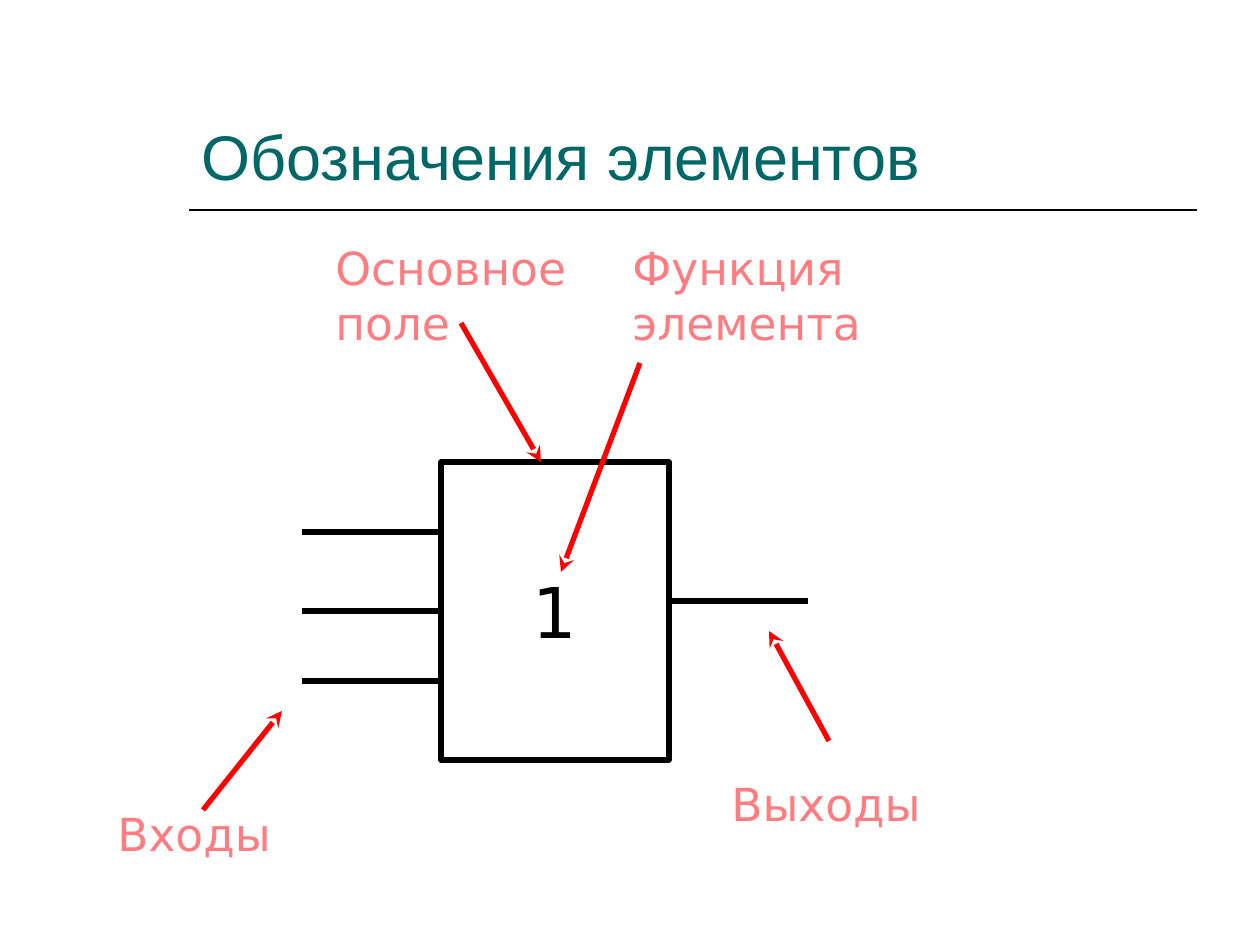
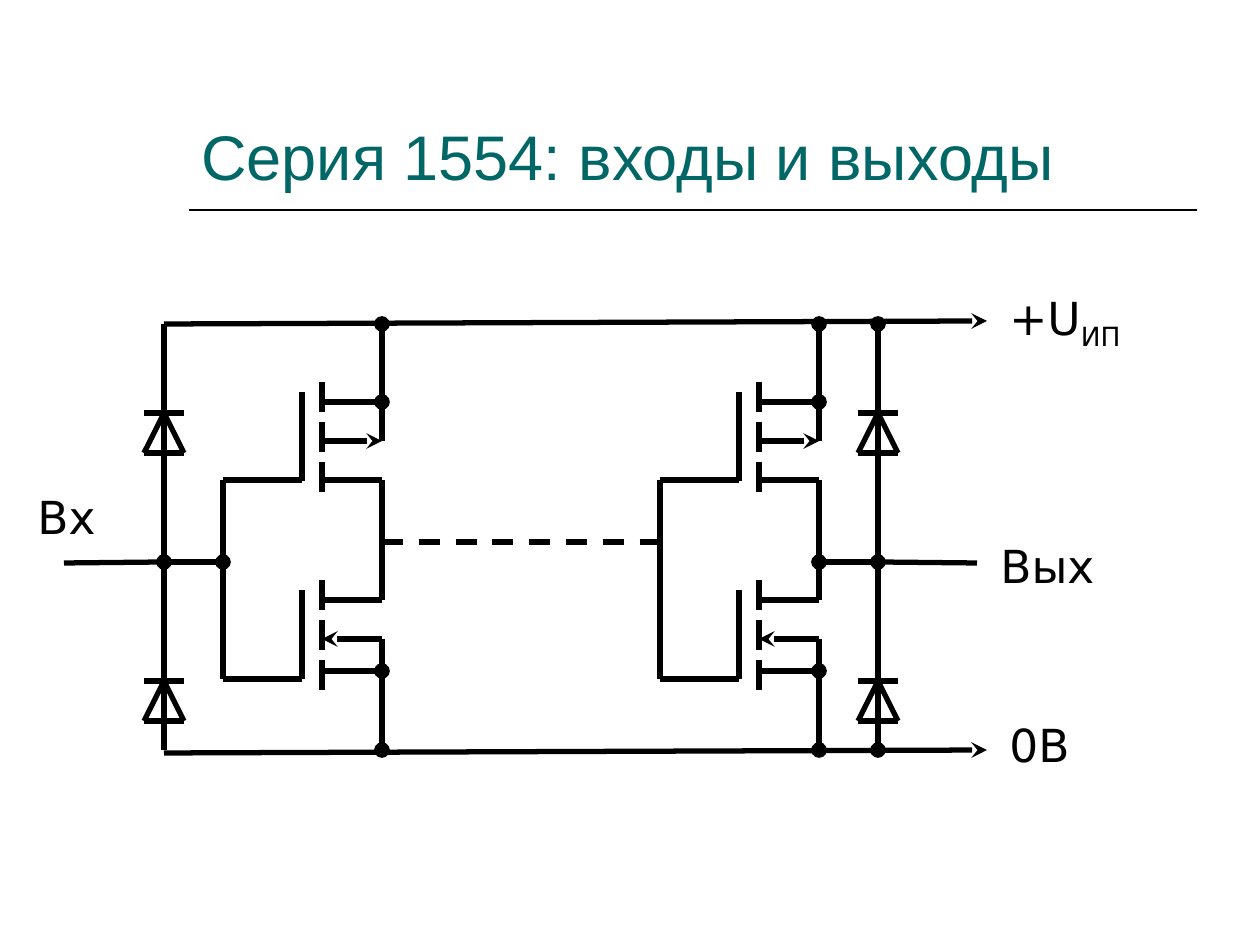
import pptx
import pptx.util
import pptx.dml.color
import pptx.enum.dml
import pptx.enum.shapes
import pptx.enum.text
import pptx.oxml

# Shared look
PX = 914400 / 126
BLACK, TEAL, RED, PINK, WHITE = "000000", "006666", "FF0000", "FF7C80", "FFFFFF"
TITLE_FONT, BODY_FONT = "Arial", "DejaVu Sans"
TITLE_BOX = (189, 42, 1008, 157)
TITLE_RULE = (189, 210, 1197, 210)

# Slide 1: the parts of a logic element symbol
ELEMENT_TITLE = "Обозначения элементов"
ELEMENT_FUNCTION = "1"
ELEMENT_BOX = (441, 462, 228, 298)
INPUT_YS = (532, 611, 681)
OUTPUT_Y = 601
LEAD = 139
CALLOUTS = [  # text, box, arrow
    ("Основное поле", (323, 234, 277, 122), (461, 323, 541, 462)),
    ("Функция элемента", (620, 234, 277, 122), (640, 363, 561, 572)),
    ("Входы", (105, 800, 277, 68), (203, 810, 282, 711)),
    ("Выходы", (719, 770, 278, 68), (829, 741, 769, 631)),
]

# Slide 2: input and output circuit
CIRCUIT_TITLE = "Серия 1554: входы и выходы"
TERMINALS = [  # text, subscript, box
    ("Вх", "", (25, 483, 118, 68)),
    ("Вых", "", (988, 532, 139, 68)),
    ("+U", "ИП", (997, 284, 159, 76)),
    ("0В", "", (997, 711, 159, 68)),
]
SUPPLY_Y, SIGNAL_Y, GROUND_Y = 324, 562, 750
INPUT_X, OUTPUT_X = 164, 878
STAGE_XS = (223, 660)
PLATE_DX, CHANNEL_DX, DRAIN_DX = 79, 99, 159
TRANSISTOR_TOPS = (382, 580)
CHANNEL_STEP, CHANNEL_LENGTH = 40, 30
DIODE_TIPS = (413, 681)
DIODE_HALF, DIODE_HEIGHT = 20, 40
LINK_Y = 542


def emu(*lengths):
    return [round(length * PX) for length in lengths]


def rgb(color):
    return pptx.dml.color.RGBColor.from_string(color)


def add_line(slide, x1, y1, x2, y2, color=BLACK, width=3, end=None, dashed=False):
    """Draw a straight line, with an optional arrow or dot at its end."""
    line = slide.shapes.add_connector(
        pptx.enum.shapes.MSO_CONNECTOR.STRAIGHT, *emu(x1, y1, x2, y2))
    line.line.color.rgb = rgb(color)
    line.line.width = pptx.util.Pt(width)
    if dashed:
        line.line.dash_style = pptx.enum.dml.MSO_LINE.DASH
    properties = line._element.spPr
    if end:
        marker = pptx.oxml.xmlchemy.OxmlElement("a:tailEnd")
        marker.set("type", end)
        line.line._get_or_add_ln().append(marker)
    properties.append(pptx.oxml.xmlchemy.OxmlElement("a:effectLst"))


def style(paragraph, font, size, color):
    paragraph.font.name = font
    paragraph.font.size = pptx.util.Pt(size)
    paragraph.font.color.rgb = rgb(color)


def add_text(slide, text, box, color, font=BODY_FONT, size=26, subscript="",
             anchor=pptx.enum.text.MSO_ANCHOR.TOP):
    frame = slide.shapes.add_textbox(*emu(*box)).text_frame
    frame.word_wrap = True
    frame.vertical_anchor = anchor
    paragraph = frame.paragraphs[0]
    paragraph.add_run().text = text
    if subscript:
        run = paragraph.add_run()
        run.text = subscript
        run._r.get_or_add_rPr().set("baseline", "-25000")
    style(paragraph, font, size, color)


def add_titled_slide(deck, title):
    slide = deck.slides.add_slide(deck.slide_layouts[6])
    add_line(slide, *TITLE_RULE, width=1)
    add_text(slide, title, TITLE_BOX, TEAL, TITLE_FONT, 36,
             anchor=pptx.enum.text.MSO_ANCHOR.BOTTOM)
    return slide


def draw_element(slide):
    left, top, width, height = ELEMENT_BOX
    element = slide.shapes.add_shape(
        pptx.enum.shapes.MSO_SHAPE.RECTANGLE, *emu(*ELEMENT_BOX))
    element.shadow.inherit = False
    element.fill.solid()
    element.fill.fore_color.rgb = rgb(WHITE)
    element.line.color.rgb = rgb(BLACK)
    element.line.width = pptx.util.Pt(3)
    frame = element.text_frame
    frame.text = ELEMENT_FUNCTION
    frame.word_wrap = False
    frame.vertical_anchor = pptx.enum.text.MSO_ANCHOR.MIDDLE
    frame.paragraphs[0].alignment = pptx.enum.text.PP_ALIGN.CENTER
    style(frame.paragraphs[0], BODY_FONT, 40, BLACK)

    # Leads
    for y in INPUT_YS:
        add_line(slide, left - LEAD, y, left, y)
    add_line(slide, left + width, OUTPUT_Y, left + width + LEAD, OUTPUT_Y)

    # Callouts
    for text, box, arrow in CALLOUTS:
        add_text(slide, text, box, PINK)
        add_line(slide, *arrow, color=RED, end="stealth")


def draw_transistor(slide, x, top, gate_y, plate_top):
    """Draw the gate lead, gate plate and three-part channel."""
    plate, channel = x + PLATE_DX, x + CHANNEL_DX
    add_line(slide, x, gate_y, plate, gate_y)
    add_line(slide, plate, plate_top, plate, plate_top + 89)
    for part in range(3):
        y = top + part * CHANNEL_STEP
        add_line(slide, channel, y, channel, y + CHANNEL_LENGTH)


def draw_stage(slide, x):
    """Draw a complementary pair between the supply and ground rails."""
    channel, drain = x + CHANNEL_DX, x + DRAIN_DX
    upper, lower = TRANSISTOR_TOPS
    gates = (upper + 98, lower + 99)
    for top, gate_y in zip(TRANSISTOR_TOPS, gates):
        draw_transistor(slide, x, top, gate_y, top + 10)
    add_line(slide, x, gates[0], x, gates[1])

    # Upper transistor to the supply
    source = upper + 20
    add_line(slide, channel, source, drain, source)
    add_line(slide, channel, source + 39, drain, source + 39, end="stealth")
    add_line(slide, drain, source + 39, drain, source, end="oval")
    add_line(slide, drain, source, drain, SUPPLY_Y, end="oval")

    # Common drain
    for y in (gates[0], lower + 20):
        add_line(slide, channel, y, drain, y)
    add_line(slide, drain, gates[0], drain, lower + 20)

    # Lower transistor to ground
    body, source = lower + 59, lower + 91
    add_line(slide, drain, body, channel, body, end="stealth")
    add_line(slide, channel, source, drain, source)
    add_line(slide, drain, body, drain, source)
    add_line(slide, drain, GROUND_Y, drain, source, end="oval")
    add_line(slide, drain, source, drain, GROUND_Y, end="oval")


def draw_diode(slide, x, tip):
    base = tip + DIODE_HEIGHT
    for y in (tip, base):
        add_line(slide, x - DIODE_HALF, y, x + DIODE_HALF, y)
    for side in (-DIODE_HALF, DIODE_HALF):
        add_line(slide, x, tip, x + side, base)


def draw_circuit(slide):
    # Rails
    add_line(slide, INPUT_X, SUPPLY_Y, 987, SUPPLY_Y - 3, end="stealth")
    add_line(slide, INPUT_X, GROUND_Y + 3, 987, GROUND_Y, end="stealth")

    # Stages and the link between them
    for x in STAGE_XS:
        draw_stage(slide, x)
    first_drain, last_drain = (x + DRAIN_DX for x in STAGE_XS)
    add_line(slide, first_drain, LINK_Y, STAGE_XS[1], LINK_Y, dashed=True)

    # Protection diodes
    for x in (INPUT_X, OUTPUT_X):
        for tip in DIODE_TIPS:
            draw_diode(slide, x, tip)
    add_line(slide, INPUT_X, SUPPLY_Y, INPUT_X, GROUND_Y)
    for rail_y in (SUPPLY_Y, GROUND_Y):
        add_line(slide, OUTPUT_X, SIGNAL_Y, OUTPUT_X, rail_y, end="oval")

    # Input and output wires
    for outer, node, inner in ((64, INPUT_X, STAGE_XS[0]), (977, OUTPUT_X, last_drain)):
        add_line(slide, outer, SIGNAL_Y + 1, node, SIGNAL_Y, end="oval")
        add_line(slide, node, SIGNAL_Y, inner, SIGNAL_Y, end="oval")

    for text, subscript, box in TERMINALS:
        add_text(slide, text, box, BLACK, subscript=subscript)


def main():
    deck = pptx.Presentation()
    deck.slide_width, deck.slide_height = emu(1260, 945)
    draw_element(add_titled_slide(deck, ELEMENT_TITLE))
    draw_circuit(add_titled_slide(deck, CIRCUIT_TITLE))
    deck.save("out.pptx")


if __name__ == "__main__":
    main()
